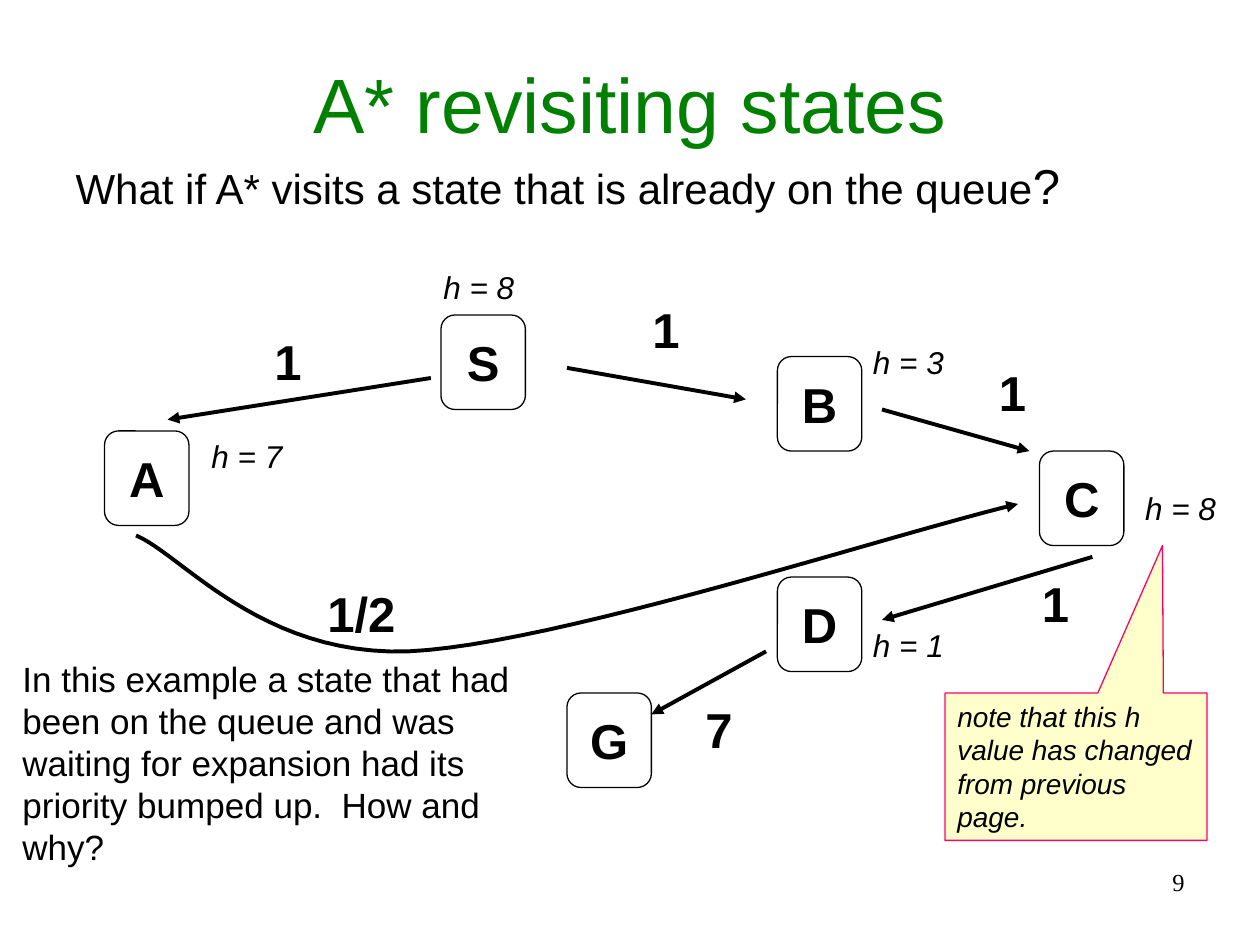
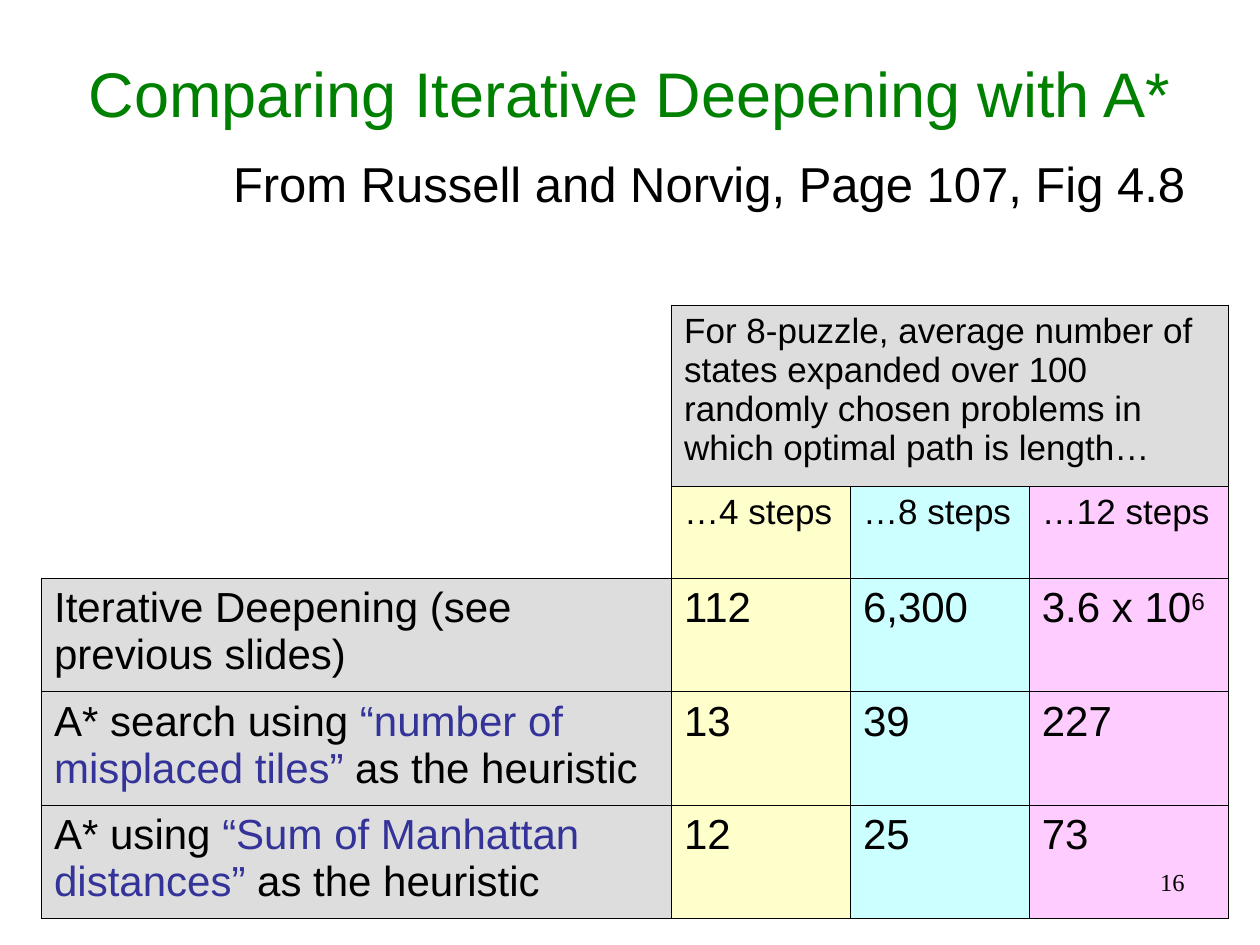
import pptx
import pptx.util
import pptx.dml.color
import pptx.enum.shapes
import pptx.enum.text
import pptx.oxml.ns
import lxml.etree

Inches, Pt = pptx.util.Inches, pptx.util.Pt
RGBColor = pptx.dml.color.RGBColor
SHAPE = pptx.enum.shapes.MSO_SHAPE
ALIGN = pptx.enum.text.PP_ALIGN
ANCHOR = pptx.enum.text.MSO_ANCHOR
qn = pptx.oxml.ns.qn

BLACK = RGBColor(0, 0, 0)
GREEN = RGBColor(0, 0x80, 0)
BLUE = RGBColor(0x33, 0x33, 0x99)
GRAY = RGBColor(0xDD, 0xDD, 0xDD)
YELLOW = RGBColor(0xFF, 0xFF, 0xCC)
CYAN = RGBColor(0xCC, 0xFF, 0xFF)
PINK = RGBColor(0xFF, 0xCC, 0xFF)
CRIMSON = RGBColor(0xFF, 0, 0x66)

BASE = {"name": "Arial", "color": BLACK, "bold": False, "italic": False}
BODY_SPACING = 1.2
TABLE_SPACING = 1.12


def format_font(font, values):
    for name, value in {**BASE, **values}.items():
        if name == "color":
            font.color.rgb = value
        elif name == "baseline":
            font._element.set("baseline", str(value))
        else:
            setattr(font, name, value)


def write(tf, runs, size, align=ALIGN.LEFT, spacing=BODY_SPACING, **values):
    p = tf.paragraphs[0]
    p.alignment = align
    p.space_before = Pt(0)
    p.line_spacing = Pt(round(size * spacing, 1))
    for text, extra in [(runs, {})] if isinstance(runs, str) else runs:
        r = p.add_run()
        r.text = text
        format_font(r.font, {"size": Pt(size), **values, **extra})
    return p


def place(sp, box):
    for name, value in zip(("left", "top", "width", "height"), box):
        setattr(sp, name, Inches(value))


def add_text(s, box, text, size, **values):
    sp = s.shapes.add_textbox(*map(Inches, box))
    sp.text_frame.word_wrap = True
    write(sp.text_frame, text, size, **values)


def add_slide(prs, number, title, title_size, title_height, body, body_size, body_box):
    s = prs.slides.add_slide(prs.slide_layouts[1])
    sp = s.shapes.title
    place(sp, (0.5, 0.3, 9, title_height))
    sp.text_frame.vertical_anchor = ANCHOR.MIDDLE
    write(sp.text_frame, title, title_size, ALIGN.CENTER, color=GREEN)
    sp = s.placeholders[1]
    place(sp, body_box)
    p = write(sp.text_frame, body, body_size)
    pPr = p._p.get_or_add_pPr()
    pPr.set("marL", str(Inches(0.38)))
    pPr.set("indent", str(Inches(-0.38)))
    lxml.etree.SubElement(pPr, qn("a:buNone"))
    for sp in s.placeholders:
        sp.text_frame.auto_size = pptx.enum.text.MSO_AUTO_SIZE.NONE
    return s, number


def add_page_number(s, number):
    add_text(s, (4.75, 6.83, 4.75, 0.52), str(number), 14, align=ALIGN.RIGHT,
             name="Times New Roman")


def add_state(s, letter, x, y):
    sp = s.shapes.add_shape(SHAPE.ROUNDED_RECTANGLE, *map(Inches, (x, y, 0.67, 0.75)))
    sp.shadow.inherit = False
    sp.fill.background()
    sp.line.color.rgb = BLACK
    sp.line.width = Pt(0.75)
    tf = sp.text_frame
    tf.word_wrap = False
    tf.vertical_anchor = ANCHOR.MIDDLE
    write(tf, letter, 28, ALIGN.CENTER, bold=True)


def style_arrow(sp):
    sp.line.color.rgb = BLACK
    sp.line.width = Pt(2.25)
    spPr = sp._element.spPr
    lxml.etree.SubElement(spPr.find(qn("a:ln")), qn("a:tailEnd"), type="triangle")
    if spPr.find(qn("a:effectLst")) is None:
        lxml.etree.SubElement(spPr, qn("a:effectLst"))


def add_arrow(s, start, end):
    straight = pptx.enum.shapes.MSO_CONNECTOR.STRAIGHT
    style_arrow(s.shapes.add_connector(straight, *map(Inches, start + end)))


def bezier(points, steps=24):
    for i in range(1, steps + 1):
        t = i / steps
        u = 1 - t
        weights = (u ** 3, 3 * u * u * t, 3 * u * t * t, t ** 3)
        yield tuple(Inches(sum(w * pt[axis] for w, pt in zip(weights, points)))
                    for axis in (0, 1))


def add_curved_arrow(s, knots):
    builder = s.shapes.build_freeform(*map(Inches, knots[0]))
    for i in range(0, len(knots) - 1, 3):
        builder.add_line_segments(list(bezier(knots[i:i + 4])), close=False)
    sp = builder.convert_to_shape()
    sp.fill.background()
    style_arrow(sp)


def add_callout(s, box, text):
    sp = s.shapes.add_shape(SHAPE.RECTANGULAR_CALLOUT, *map(Inches, box))
    sp.shadow.inherit = False
    sp.adjustments[0], sp.adjustments[1] = 0.33, -1.5
    sp.fill.solid()
    sp.fill.fore_color.rgb = YELLOW
    sp.line.color.rgb = CRIMSON
    sp.line.width = Pt(0.75)
    sp.text_frame.word_wrap = True
    sp.text_frame.vertical_anchor = ANCHOR.TOP
    write(sp.text_frame, text, 16, italic=True)


def set_borders(cell, visible):
    tcPr = cell._tc.get_or_add_tcPr()
    for side in "LRTB":
        ln = lxml.etree.SubElement(tcPr, qn("a:ln" + side), w=str(Pt(0.45)))
        if side in visible:
            fill = lxml.etree.SubElement(ln, qn("a:solidFill"))
            lxml.etree.SubElement(fill, qn("a:srgbClr"), val=str(BLACK))
        else:
            lxml.etree.SubElement(ln, qn("a:noFill"))


def add_table(s, box, widths, heights, rows):
    table = s.shapes.add_table(len(rows), len(widths), *map(Inches, box)).table
    table.first_row = table.horz_banding = False
    for column, width in zip(table.columns, widths):
        column.width = Inches(width)
    for row, height in zip(table.rows, heights):
        row.height = Inches(height)
    table.cell(0, 1).merge(table.cell(0, 3))
    blank_sides = {(0, 0): "R", (1, 0): "RB"}
    for i, row in enumerate(rows):
        for j, (runs, color) in enumerate(zip(row, (GRAY, YELLOW, CYAN, PINK))):
            cell = table.cell(i, j)
            set_borders(cell, blank_sides.get((i, j), "LRTB"))
            if (i, j) in blank_sides:
                cell.fill.background()
                continue
            cell.fill.solid()
            cell.fill.fore_color.rgb = GRAY if i == 0 else color
            if runs:
                write(cell.text_frame, runs, 20 if i < 2 else 24, spacing=TABLE_SPACING)


def heuristic_label(start, name):
    return [(start, {}), (name, {"color": BLUE}), (" as the heuristic", {})]


def build_revisiting(prs):
    s, number = add_slide(
        prs, 9, "A* revisiting states", 44, 1.03,
        [("What if A* visits a state that is already on the queue", {}),
         ("?", {"size": Pt(28)})], 24, (0.5, 1.25, 9, 1.08))
    for letter, x, y in (("S", 3.5, 2.5), ("D", 6.17, 4.58), ("B", 6.17, 2.83),
                         ("C", 8.25, 3.58), ("A", 0.83, 3.42), ("G", 4.5, 5.5)):
        add_state(s, letter, x, y)
    for start, end in (((4.5, 2.92), (5.92, 3.17)), ((7, 3.25), (8.17, 3.58)),
                       ((8.67, 4.42), (7, 4.92)), ((3.42, 3), (1.33, 3.33)),
                       ((6.08, 5.17), (5.17, 5.67))):
        add_arrow(s, start, end)
    add_curved_arrow(s, [(1.08, 4.25), (1.44, 4.4), (2.07, 5.21), (3.24, 5.17),
                         (4.4, 5.12), (7.07, 4.24), (8.08, 4)])
    for cost, x, y, width in (("1", 2.08, 2.58, 0.5), ("1", 7.83, 2.83, 0.5),
                              ("1", 8.17, 4.5, 0.5), ("7", 5.5, 5.5, 0.5),
                              ("1", 5.08, 2.33, 0.5), ("1/2", 2.5, 4.58, 1.17)):
        add_text(s, (x, y, width, 0.57), cost, 28, bold=True)
    for h, x, y, width, align in ((7, 1.58, 3.42, 1, ALIGN.LEFT),
                                  (1, 6.83, 4.92, 1, ALIGN.LEFT),
                                  (8, 8.58, 3.83, 1.17, ALIGN.RIGHT),
                                  (3, 6.83, 2.67, 1, ALIGN.LEFT),
                                  (8, 3.42, 2.08, 1, ALIGN.LEFT)):
        add_text(s, (x, y, width, 0.4), f"h = {h}", 18, align=align, italic=True)
    add_text(s, (0.08, 5.17, 4.5, 1.77),
             "In this example a state that had been on the queue and was waiting for "
             "expansion had its priority bumped up.  How and why?", 20)
    add_callout(s, (7.5, 5.5, 2.08, 1.17),
                "note that this h value has changed from previous page.")
    add_page_number(s, number)


def build_comparison(prs):
    s, number = add_slide(
        prs, 16, "Comparing Iterative Deepening with A*", 36, 0.87,
        "From Russell and Norvig, Page 107, Fig 4.8", 28, (1.75, 1.17, 8, 0.66))
    rows = [
        ["", "For 8-puzzle, average number of states expanded over 100 randomly "
             "chosen problems in which optimal path is length…", "", ""],
        ["", "…4 steps", "…8 steps", "…12 steps"],
        ["Iterative Deepening (see previous slides)", "112", "6,300",
         [("3.6 x 10", {}), ("6", {"baseline": 30000})]],
        [heuristic_label("A* search using ", "“number of misplaced tiles”"),
         "13", "39", "227"],
        [heuristic_label("A* using ", "“Sum of Manhattan distances”"),
         "12", "25", "73"],
    ]
    add_table(s, (0.33, 2.42, 9.42, 4.88), (5, 1.42, 1.42, 1.58),
              (1.44, 0.73, 0.9, 0.9, 0.9), rows)
    add_page_number(s, number)


def main():
    prs = pptx.Presentation()
    prs.slide_width, prs.slide_height = Inches(10), Inches(7.5)
    build_revisiting(prs)
    build_comparison(prs)
    prs.save("out.pptx")


if __name__ == "__main__":
    main()
